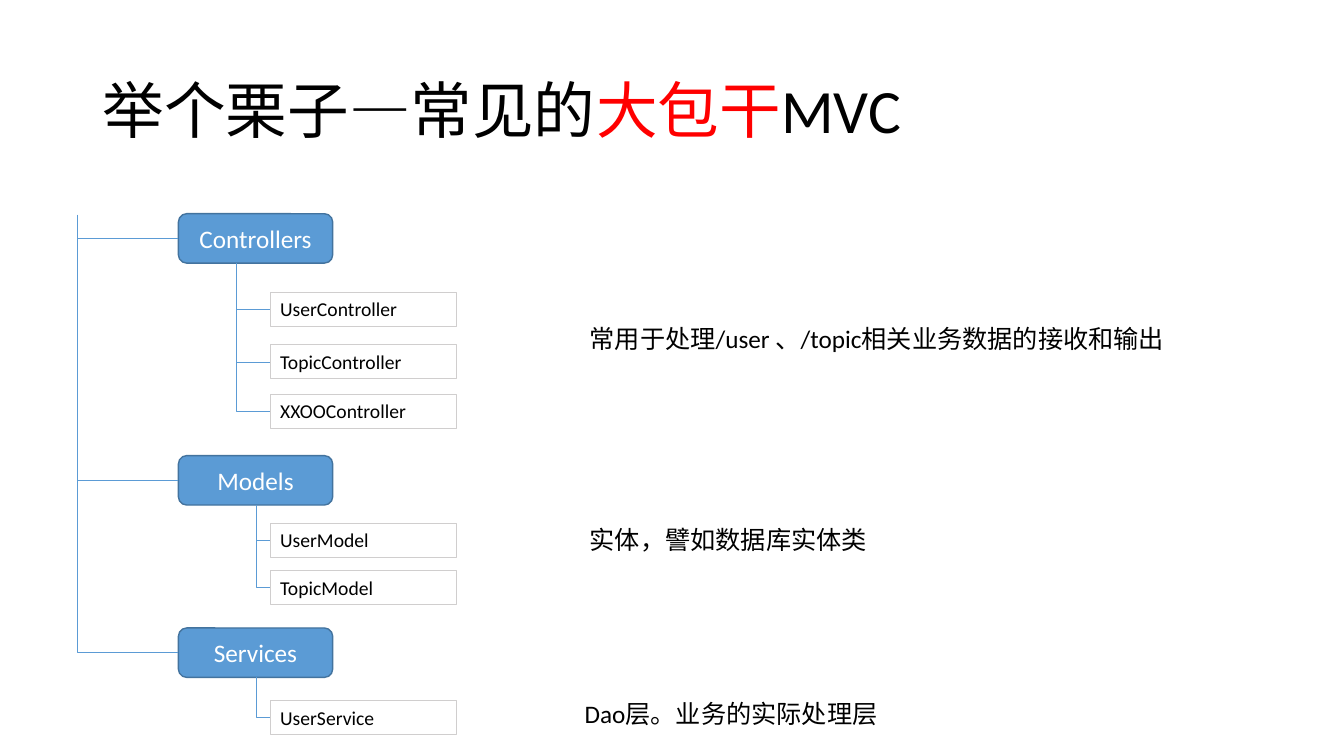
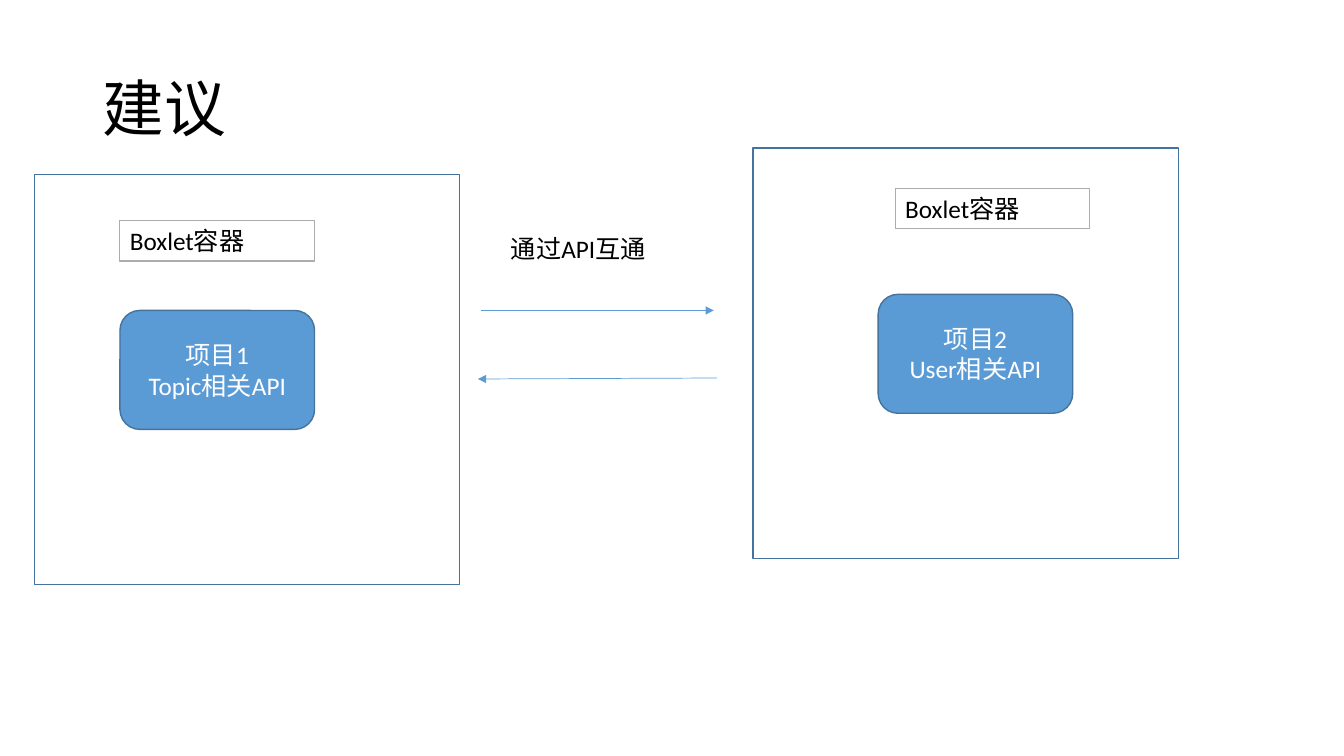
from lxml import etree
from pptx import Presentation
from pptx import util as u
from pptx.dml.color import RGBColor
from pptx.enum import shapes, text
from pptx.oxml.ns import qn

FONT = "Calibri"
COLORS = {
    "blue": "5B9BD5",
    "outline": "43739E",
    "light_gray": "D0CECE",
    "gray": "AFABAB",
    "red": "FF0000",
    "black": "000000",
    "white": "FFFFFF",
}

# name, top, trunk x, classes with their tops, note, note left and top
MODULES = [
    ("Controllers", 2.12, 2.34,
     [("UserController", 2.9), ("TopicController", 3.42), ("XXOOController", 3.91)],
     "常用于处理/user 、/topic相关业务数据的接收和输出", 5.75, 3.16),
    ("Models", 4.52, 2.54,
     [("UserModel", 5.19), ("TopicModel", 5.66)],
     "实体，譬如数据库实体类", 5.75, 5.15),
    ("Services", 6.23, 2.54,
     [("UserService", 6.95)],
     "Dao层。业务的实际处理层", 5.7, 6.88),
]
ROOT_X, ROOT_TOP = 0.77, 2.13

# container left and top, label left and top, project left and top, project text
CONTAINERS = [
    ((0.34, 1.73), (1.19, 2.19), (1.19, 3.08), ["项目1", "Topic相关API"]),
    ((7.47, 1.47), (8.88, 1.87), (8.71, 2.92), ["项目2", "User相关API"]),
]


def rgb(name):
    return RGBColor.from_string(COLORS[name])


def write_text(shape, paragraphs, size=18, color="black", align=text.PP_ALIGN.LEFT,
               anchor=text.MSO_ANCHOR.TOP, spacing=None, grow=False):
    """Fill a shape; each paragraph is a string or a list of (text, color) runs."""
    frame = shape.text_frame
    frame.word_wrap = True
    frame.vertical_anchor = anchor
    if grow:
        frame.auto_size = text.MSO_AUTO_SIZE.SHAPE_TO_FIT_TEXT
    for index, content in enumerate(paragraphs):
        paragraph = frame.add_paragraph() if index else frame.paragraphs[0]
        paragraph.alignment = align
        if spacing:
            paragraph.line_spacing = spacing
        runs = [(content, color)] if isinstance(content, str) else content
        for words, run_color in runs:
            run = paragraph.add_run()
            run.text = words
            run.font.name = FONT
            run.font.size = u.Pt(size)
            run.font.color.rgb = rgb(run_color)


def add_text_box(slide, paragraphs, left, top, width, height, **text_format):
    shape = slide.shapes.add_textbox(*map(u.Inches, (left, top, width, height)))
    write_text(shape, paragraphs, **text_format)


def add_title(slide, content, top, align=text.PP_ALIGN.LEFT):
    add_text_box(slide, [content], 0.92, top, 11.5, 1.45, size=44, align=align,
                 anchor=text.MSO_ANCHOR.MIDDLE, spacing=0.9)


def add_box(slide, left, top, width, height, fill=None, line="outline", weight=1,
            rounded=False):
    kind = shapes.MSO_SHAPE.ROUNDED_RECTANGLE if rounded else shapes.MSO_SHAPE.RECTANGLE
    shape = slide.shapes.add_shape(kind, *map(u.Inches, (left, top, width, height)))
    shape.shadow.inherit = False
    if fill:
        shape.fill.solid()
        shape.fill.fore_color.rgb = rgb(fill)
    else:
        shape.fill.background()
    shape.line.color.rgb = rgb(line)
    shape.line.width = u.Pt(weight)
    return shape


def add_block(slide, paragraphs, left, top, width, height):
    """Blue rounded block with centred white text."""
    block = add_box(slide, left, top, width, height, fill="blue", rounded=True)
    write_text(block, paragraphs, color="white", align=text.PP_ALIGN.CENTER,
               anchor=text.MSO_ANCHOR.MIDDLE)
    return block


def add_label(slide, words, left, top, width, height, line, size=18):
    """Thinly outlined label that fits its text."""
    label = add_box(slide, left, top, width, height, line=line, weight=0.75)
    write_text(label, [words], size=size, grow=True)
    return label


def add_line(slide, begin_x, begin_y, end_x, end_y, arrow=False,
             kind=shapes.MSO_CONNECTOR.STRAIGHT):
    line = slide.shapes.add_connector(kind, begin_x, begin_y, end_x, end_y)
    line.line.color.rgb = rgb("blue")
    line.line.width = u.Pt(0.5)
    if arrow:
        etree.SubElement(line.line._get_or_add_ln(), qn("a:tailEnd"), type="triangle")
    etree.SubElement(line._element.spPr, qn("a:effectLst"))
    return line


def add_elbow(slide, begin_x, begin_y, end_x, end_y):
    """Line that runs down, then right, with a single bend."""
    elbow = add_line(slide, begin_x, begin_y, end_x, end_y,
                     kind=shapes.MSO_CONNECTOR.ELBOW)
    across, down = end_x - begin_x, end_y - begin_y
    # A quarter turn swaps width and height around the same centre
    elbow.left = begin_x + (across - down) // 2
    elbow.top = begin_y + (down - across) // 2
    elbow.width, elbow.height = down, across
    properties = elbow._element.spPr
    properties.find(qn("a:prstGeom")).set("prst", "bentConnector2")
    frame = properties.find(qn("a:xfrm"))
    frame.set("rot", "16200000")
    frame.set("flipH", "1")


def add_branches(slide, trunk_x, trunk_top, boxes):
    """Chain elbows down a trunk, one to the left side of each box."""
    begin_y = trunk_top
    for box in boxes:
        end_y = box.top + box.height // 2
        add_elbow(slide, trunk_x, begin_y, box.left, end_y)
        begin_y = end_y


def build_mvc_slide(slide):
    add_title(slide, [("举个栗子—常见的", "black"), ("大包干", "red"), ("MVC", "black")], 0.4)
    modules = []
    for name, top, trunk_x, classes, note, note_left, note_top in MODULES:
        module = add_block(slide, [name], 1.77, top, 1.53, 0.49)
        modules.append(module)
        labels = [add_label(slide, class_name, 2.68, class_top, 1.85, 0.34,
                            "light_gray", size=14)
                  for class_name, class_top in classes]
        add_branches(slide, u.Inches(trunk_x), module.top + module.height, labels)
        add_text_box(slide, [note], note_left, note_top, 6.4, 0.4, grow=True)
    add_branches(slide, u.Inches(ROOT_X), u.Inches(ROOT_TOP), modules)


def build_advice_slide(slide):
    # Containers with their label and project
    for container, label, project, project_text in CONTAINERS:
        add_box(slide, *container, 4.22, 4.07, fill="white")
        add_block(slide, project_text, *project, 1.93, 1.18)
        add_label(slide, "Boxlet容器", *label, 1.93, 0.4, "gray")
    add_title(slide, "建议", 0.38, align=text.PP_ALIGN.JUSTIFY)

    # Calls in both directions
    for ends in ((4.77, 3.08, 7.08, 3.08), (7.11, 3.75, 4.74, 3.76)):
        add_line(slide, *map(u.Inches, ends), arrow=True)
    add_text_box(slide, ["通过API互通"], 4.97, 2.27, 1.7, 0.4, grow=True)


def main():
    presentation = Presentation()
    presentation.slide_width = u.Inches(13.33)
    presentation.slide_height = u.Inches(7.5)
    blank = presentation.slide_layouts[6]
    for build in (build_mvc_slide, build_advice_slide):
        build(presentation.slides.add_slide(blank))
    presentation.save("out.pptx")


if __name__ == "__main__":
    main()
